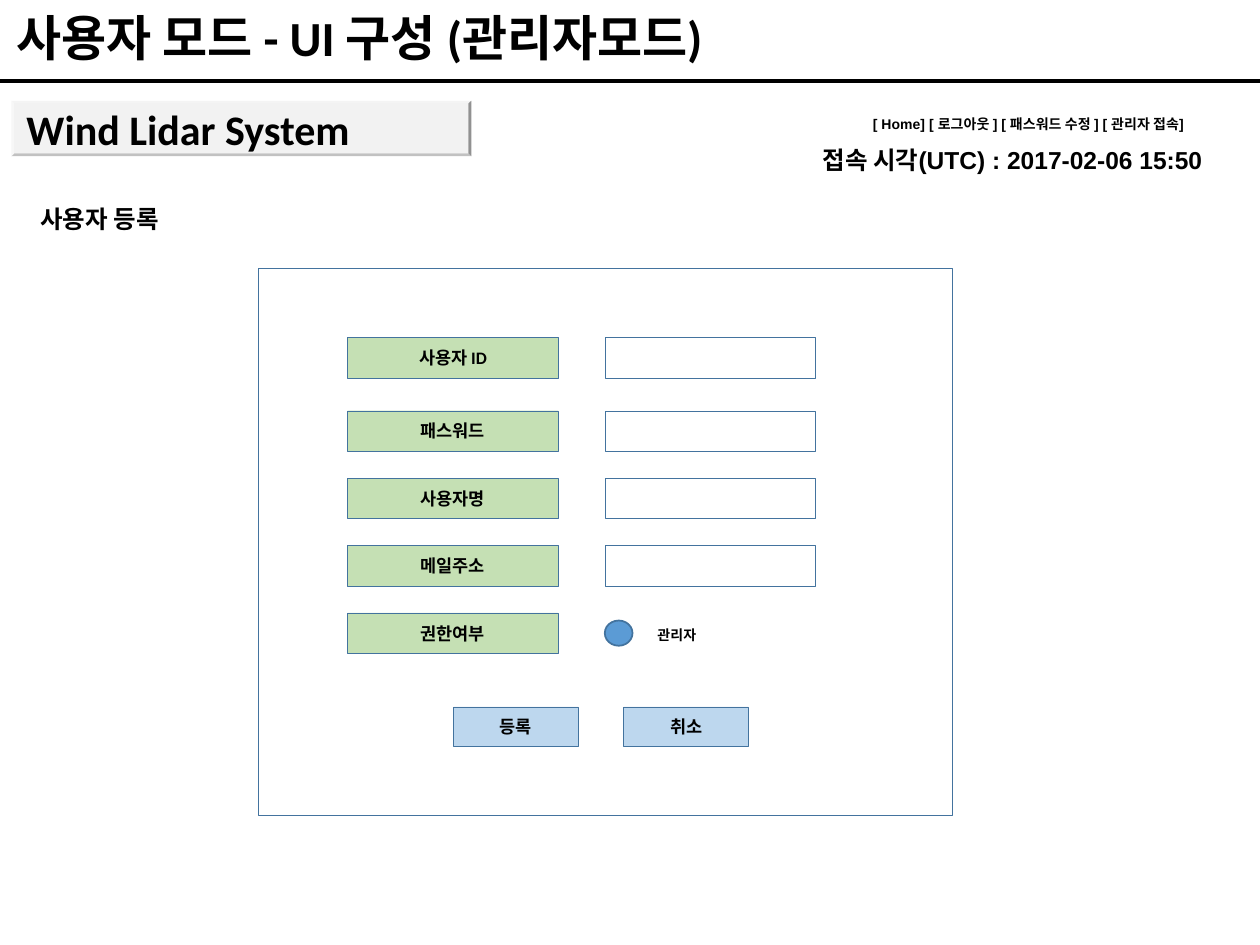
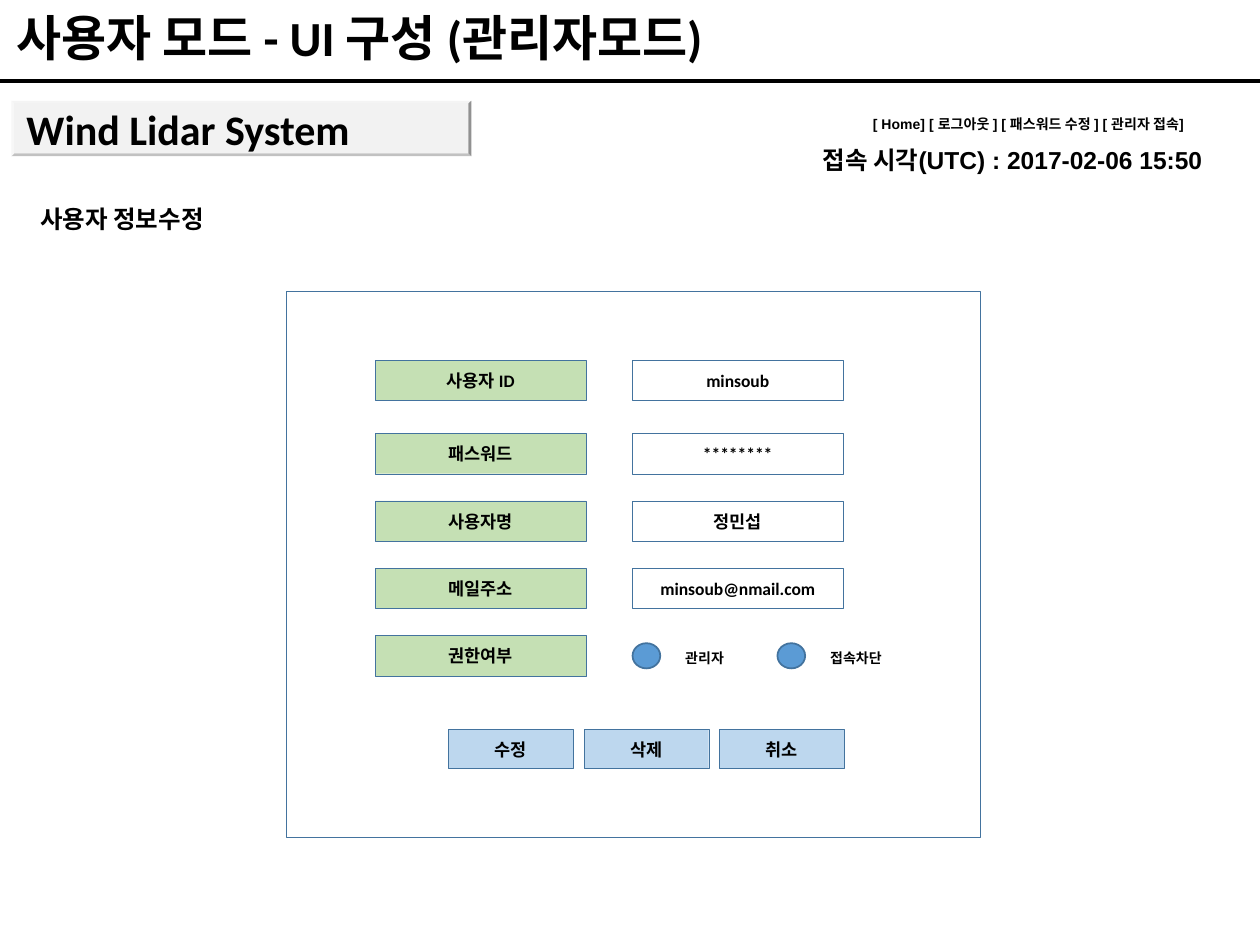
from dataclasses import dataclass

from lxml.etree import SubElement
from pptx import Presentation
from pptx.dml.color import RGBColor
from pptx.enum.shapes import MSO_CONNECTOR as Connector, MSO_SHAPE as Preset
from pptx.enum.text import MSO_ANCHOR as Anchor, MSO_AUTO_SIZE as AutoSize, PP_ALIGN as Align
from pptx.oxml.ns import qn
from pptx.util import Inches, Pt

WIDTH, HEIGHT = Inches(10), Inches(7.5)
COLUMN, ROW = WIDTH // 100, HEIGHT // 75

BLACK = RGBColor(0x00, 0x00, 0x00)
WHITE = RGBColor(0xFF, 0xFF, 0xFF)
OUTLINE = RGBColor(0x43, 0x73, 0x9E)
LABEL_GREEN = RGBColor(0xC5, 0xE0, 0xB4)
BUTTON_BLUE = RGBColor(0xBD, 0xD7, 0xEE)
RADIO_BLUE = RGBColor(0x5B, 0x9B, 0xD5)
BANNER_GRAY = RGBColor(0xF2, 0xF2, 0xF2)

HEADING_FONT, BODY_FONT = "Arial", "Calibri"
TITLE = "사용자 모드 - UI 구성 (관리자모드)"
SYSTEM_NAME = "Wind Lidar System"
MENU = "[ Home] [ 로그아웃 ] [ 패스워드 수정 ] [ 관리자 접속]"
ACCESS_TIME = "접속 시각(UTC) : 2017-02-06 15:50"
FIELD_NAMES = ["사용자 ID", "패스워드", "사용자명", "메일주소", "권한여부"]

FIRST_ROW, SECOND_ROW, ROW_PITCH = 5.5, 11.3, 5.35
LABEL_LEFT, VALUE_LEFT = 7.1, 27.5
FIELD_WIDTH, FIELD_HEIGHT = 16.7, 3.2
RADIO_PITCH = 11.5
BUTTON_TOP, BUTTON_WIDTH, BUTTON_HEIGHT = 34.8, 9.9, 3.1


@dataclass
class Box:
    left: float
    top: float
    width: float
    height: float

    def inside(self, left, top, width, height):
        return Box(self.left + left, self.top + top, width, height)

    def lengths(self):
        return (round(self.left * COLUMN), round(self.top * ROW),
                round(self.width * COLUMN), round(self.height * ROW))


def write(shape, text, size, font, align=Align.LEFT):
    frame = shape.text_frame
    frame.text = text
    para = frame.paragraphs[0]
    para.alignment = align
    para.font.name = font
    para.font.size = Pt(size)
    para.font.bold = True
    para.font.color.rgb = BLACK
    return para


def add_text(page, box, text, size):
    shape = page.shapes.add_textbox(*box.lengths())
    shape.text_frame.word_wrap = False
    shape.text_frame.auto_size = AutoSize.SHAPE_TO_FIT_TEXT
    write(shape, text, size, HEADING_FONT)


def add_figure(page, box, fill, line_width, preset=Preset.RECTANGLE):
    shape = page.shapes.add_shape(preset, *box.lengths())
    shape.shadow.inherit = False
    shape.fill.solid()
    shape.fill.fore_color.rgb = fill
    if line_width:
        shape.line.color.rgb = OUTLINE
        shape.line.width = Pt(line_width)
    else:
        shape.line.fill.background()
    return shape


def add_field(page, box, fill, text):
    shape = add_figure(page, box, fill, 0.25)
    if text:
        shape.text_frame.vertical_anchor = Anchor.MIDDLE
        write(shape, text, 10, BODY_FONT, Align.CENTER)


def add_title(page, box):
    title = page.shapes.title
    title.left, title.top, title.width, title.height = box.lengths()
    para = write(title, TITLE, 28, BODY_FONT)
    para.line_spacing = 0.9
    title.text_frame.vertical_anchor = Anchor.BOTTOM
    title.text_frame.auto_size = AutoSize.NONE

    rule_top = round(6.4 * ROW)
    rule = page.shapes.add_connector(Connector.STRAIGHT, 0, rule_top, WIDTH, rule_top)
    rule.line.color.rgb = BLACK
    rule.line.width = Pt(2.25)
    SubElement(rule._element.spPr, qn("a:effectLst"))


def add_header(page, box):
    banner = add_figure(page, box.inside(0, 0, 36.5, 4.4), BANNER_GRAY, 0, Preset.BEVEL)
    banner.adjustments[0] = 0.05
    banner.text_frame.word_wrap = False
    banner.text_frame.vertical_anchor = Anchor.MIDDLE
    write(banner, SYSTEM_NAME, 24, BODY_FONT)
    add_text(page, box.inside(67.4, 0.7, 29.7, 2.4), MENU, 8)
    add_text(page, box.inside(63.4, 3, 34.1, 3.4), ACCESS_TIME, 14)


def add_radio(page, box, text):
    add_figure(page, box.inside(0, 0, 2.2, 2), RADIO_BLUE, 1, Preset.FLOWCHART_CONNECTOR)
    add_text(page, box.inside(3.2, 0, 2.1 + 1.1 * len(text), 2.4), text, 8)


def add_form(page, box, values, roles, buttons, button_left, button_pitch):
    add_figure(page, box, WHITE, 0.5)
    tops = [FIRST_ROW] + [SECOND_ROW + ROW_PITCH * step for step in range(4)]
    for name, top in zip(FIELD_NAMES, tops):
        add_field(page, box.inside(LABEL_LEFT, top, FIELD_WIDTH, FIELD_HEIGHT), LABEL_GREEN, name)
    for value, top in zip(values, tops):
        add_field(page, box.inside(VALUE_LEFT, top, FIELD_WIDTH, FIELD_HEIGHT), WHITE, value)
    for index, role in enumerate(roles):
        left = VALUE_LEFT + index * RADIO_PITCH
        add_radio(page, box.inside(left, tops[-1] + 0.6, RADIO_PITCH, 2.4), role)
    for index, caption in enumerate(buttons):
        left = button_left + index * button_pitch
        add_field(page, box.inside(left, BUTTON_TOP, BUTTON_WIDTH, BUTTON_HEIGHT),
                  BUTTON_BLUE, caption)


def add_form_page(deck, heading, heading_width, form_box, **form):
    page = deck.slides.add_slide(deck.slide_layouts[5])
    add_title(page, Box(0.3, 0.3, 99.3, 5.5))
    add_header(page, Box(0.9, 8, 97.5, 6.4))
    add_text(page, Box(2.2, 15.7, heading_width, 3.4), heading, 14)
    add_form(page, form_box, **form)


def main():
    deck = Presentation()
    deck.slide_width, deck.slide_height = WIDTH, HEIGHT
    add_form_page(deck, "사용자 등록", 12.5, Box(20.5, 21.3, 55.1, 43.4),
                  values=[""] * 4, roles=["관리자"], buttons=["등록", "취소"],
                  button_left=15.5, button_pitch=13.5)
    add_form_page(deck, "사용자 정보수정", 16.4, Box(22.7, 23.1, 55.1, 43.4),
                  values=["minsoub", "********", "정민섭", "minsoub@nmail.com"],
                  roles=["관리자", "접속차단"], buttons=["수정", "삭제", "취소"],
                  button_left=12.9, button_pitch=10.75)
    deck.save("out.pptx")


if __name__ == "__main__":
    main()
